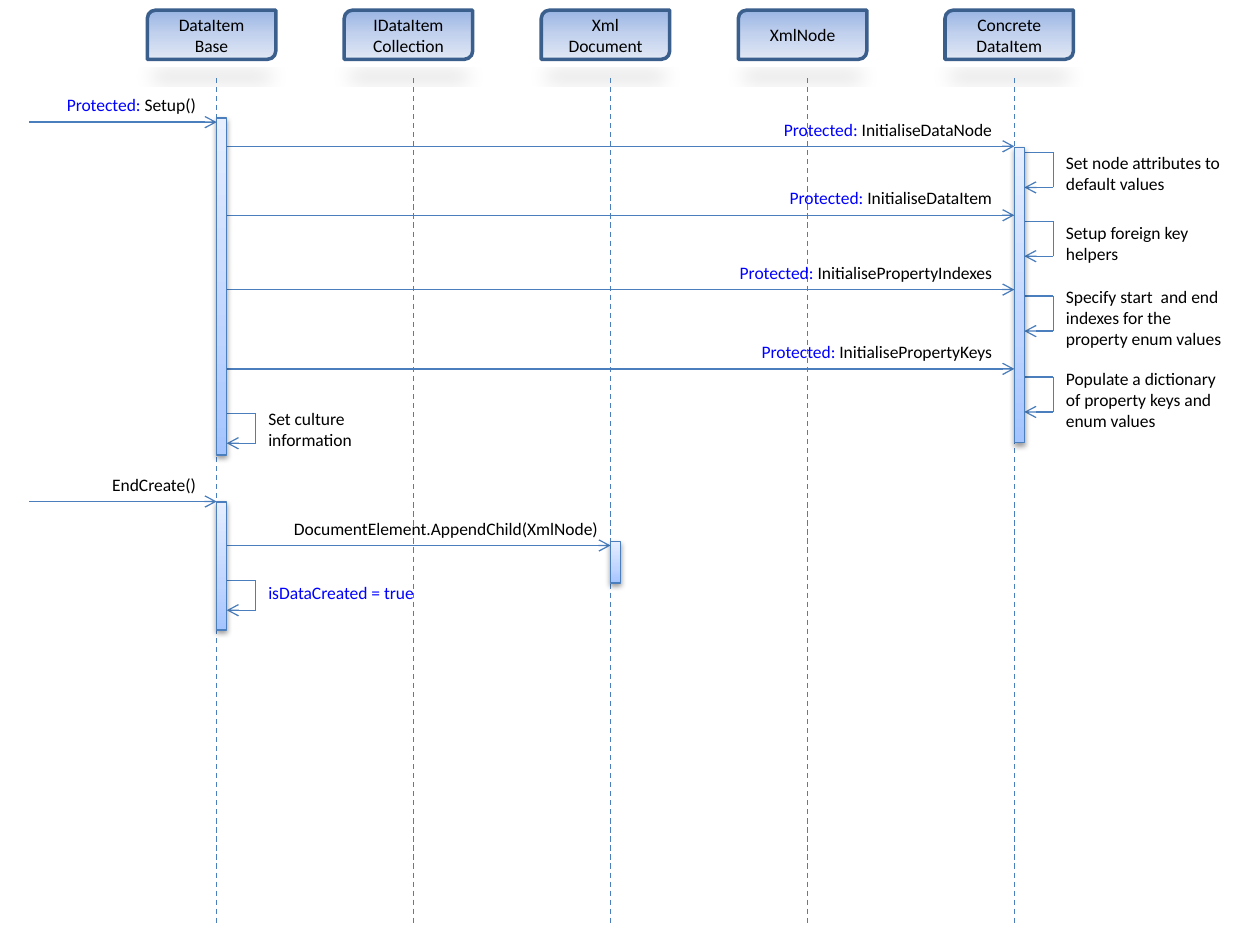
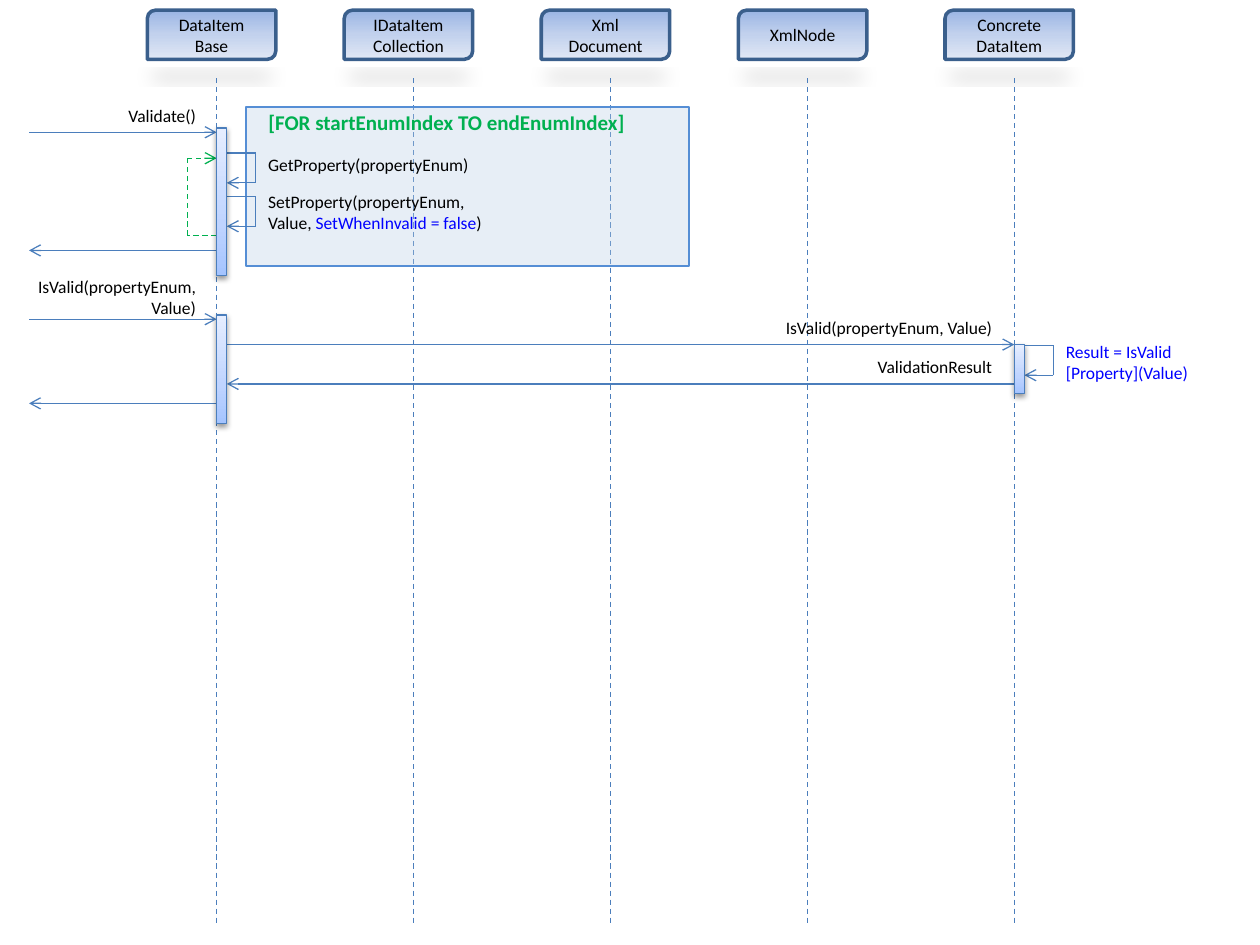
from dataclasses import dataclass

from pptx import Presentation
from pptx.dml.color import RGBColor
from pptx.enum.dml import MSO_LINE
from pptx.enum.shapes import MSO_CONNECTOR, MSO_SHAPE
from pptx.enum.text import MSO_ANCHOR, MSO_AUTO_SIZE, PP_ALIGN
from pptx.oxml import parse_xml
from pptx.oxml.ns import nsdecls, qn
from pptx.util import Pt

DASH = MSO_LINE.DASH
STRAIGHT = MSO_CONNECTOR.STRAIGHT
RECT, HEADER = MSO_SHAPE.RECTANGLE, MSO_SHAPE.ROUND_2_DIAG_RECTANGLE
MIDDLE = MSO_ANCHOR.MIDDLE
GROW = MSO_AUTO_SIZE.SHAPE_TO_FIT_TEXT
LEFT, CENTER, RIGHT = PP_ALIGN.LEFT, PP_ALIGN.CENTER, PP_ALIGN.RIGHT

FONT = "Calibri"
BLACK, BLUE, GREEN = "000000", "0000FF", "00B050"
LINE_BLUE, HEADER_EDGE = "4B7EBC", "3A5F8C"
FRAME_FILL, FRAME_EDGE = "B9CDE5", "558ED5"
HEADER_STOPS = ((0, "9AB5E4"), (50, "C2D1ED"), (100, "E1E8F5"))
BAR_STOPS = ((0, "A4C4FF"), (35, "BFD4FF"), (100, "E6EEFF"))
HEADER_SHADOW = ('blurRad="152400" dist="88900" dir="5400000" sx="90000" '
                 'sy="-19000" algn="b" rotWithShape="0"', 15)
BAR_SHADOW = 'blurRad="39370" dist="20320" dir="5400000" rotWithShape="0"', 38

BASE, COLLECTION, DOCUMENT, NODE, CONCRETE = 123.8, 236.3, 348.9, 461.5, 579.6
ACTORS = {BASE: "DataItem\nBase", COLLECTION: "IDataItem\nCollection",
          DOCUMENT: "Xml\nDocument", NODE: "XmlNode", CONCRETE: "Concrete\nDataItem"}
CALLER = 16.6
BAR_W = 5.8
BASE_R, CONCRETE_R = BASE + BAR_W, CONCRETE + BAR_W
REACH = 16.6
LOOP_X, LOOP_TOP, LOOP_BOTTOM = 107, 90.4, 134.6


@dataclass
class Run:
    text: str
    color: str = BLACK


Lines = tuple[tuple[Run, ...], ...]


@dataclass
class Bar:
    x: float
    top: float
    height: float


@dataclass
class Message:
    y: float
    start: float
    end: float
    lines: Lines = ()
    right: float = 0
    width: float = 0
    rise: float = 19.4
    rows: int = 1


@dataclass
class SelfCall:
    x: float
    y: float
    drop: float
    label_top: float
    width: float
    rows: int
    lines: Lines


def plain(text: str, color: str = BLACK) -> Lines:
    return ((Run(text, color),),)


def protected(name: str) -> Lines:
    return ((Run("Protected: ", BLUE), Run(name)),)


def rgb(color: str) -> RGBColor:
    return RGBColor.from_string(color)


def style_run(r, color: str = BLACK, size: float = 10, bold: bool = False) -> None:
    r.font.name = FONT
    r.font.size = Pt(size)
    r.font.bold = bold
    r.font.color.rgb = rgb(color)


def add_line(s, x1: float, y1: float, x2: float, y2: float, color: str = LINE_BLUE,
             dashed: bool = False, arrow: bool = False) -> None:
    c = s.shapes.add_connector(STRAIGHT, Pt(x1), Pt(y1), Pt(x2), Pt(y2))
    c.line.color.rgb = rgb(color)
    c.line.width = Pt(0.75)
    if dashed:
        c.line.dash_style = DASH
    if arrow:
        c.line._get_or_add_ln().append(
            parse_xml(f'<a:tailEnd {nsdecls("a")} type="arrow"/>'))
    c._element.spPr.append(parse_xml(f'<a:effectLst {nsdecls("a")}/>'))


def add_box(s, kind, x: float, y: float, w: float, h: float, edge: str, weight: float):
    sp = s.shapes.add_shape(kind, Pt(x), Pt(y), Pt(w), Pt(h))
    sp.shadow.inherit = False
    sp.line.color.rgb = rgb(edge)
    sp.line.width = Pt(weight)
    return sp


def set_gradient(sp, stops: tuple, angle: int) -> None:
    gs = "".join(f'<a:gs pos="{pos * 1000}"><a:srgbClr val="{color}"/></a:gs>'
                 for pos, color in stops)
    sp._element.spPr.insert(2, parse_xml(
        f'<a:gradFill {nsdecls("a")} rotWithShape="1"><a:gsLst>{gs}</a:gsLst>'
        f'<a:lin ang="{angle * 60000}" scaled="0"/></a:gradFill>'))


def set_shadow(sp, shadow: tuple[str, int]) -> None:
    attrs, alpha = shadow
    sp._element.spPr.find(qn("a:effectLst")).append(parse_xml(
        f'<a:outerShdw {nsdecls("a")} {attrs}><a:srgbClr val="{BLACK}">'
        f'<a:alpha val="{alpha * 1000}"/></a:srgbClr></a:outerShdw>'))


def add_label(s, x: float, y: float, w: float, rows: int, lines: Lines,
              align=LEFT, size: float = 10, bold: bool = False) -> None:
    height = 7.2 + rows * size * 1.22
    tf = s.shapes.add_textbox(Pt(x), Pt(y), Pt(w), Pt(height)).text_frame
    tf.word_wrap = True
    tf.auto_size = GROW
    for i, line in enumerate(lines):
        p = tf.add_paragraph() if i else tf.paragraphs[0]
        p.alignment = align
        for run in line:
            r = p.add_run()
            r.text = run.text
            style_run(r, run.color, size, bold)


def add_actor(s, x: float, name: str) -> None:
    sp = add_box(s, HEADER, x - 39.6, 5.8, 73.4, 28.1, HEADER_EDGE, 2)
    set_gradient(sp, HEADER_STOPS, 90)
    set_shadow(sp, HEADER_SHADOW)
    tf = sp.text_frame
    tf.text = name
    tf.vertical_anchor = MIDDLE
    for p in tf.paragraphs:
        p.alignment = CENTER
        style_run(p.runs[0])
    add_line(s, x, 44.6, x, 528.5, dashed=True)


def add_bar(s, bar: Bar) -> None:
    sp = add_box(s, RECT, bar.x, bar.top, BAR_W, bar.height, LINE_BLUE, 0.75)
    set_gradient(sp, BAR_STOPS, 270)
    set_shadow(sp, BAR_SHADOW)


def add_message(s, m: Message) -> None:
    add_line(s, m.start, m.y, m.end, m.y, arrow=True)
    if m.lines:
        add_label(s, m.right - m.width, m.y - m.rise, m.width, m.rows, m.lines, RIGHT)


def add_self_call(s, call: SelfCall) -> None:
    far, bottom = call.x + REACH, call.y + call.drop
    add_line(s, far, call.y, call.x, call.y)
    add_line(s, far, call.y, far, bottom)
    add_line(s, far, bottom, call.x, bottom, arrow=True)
    add_label(s, far, call.label_top, call.width, call.rows, call.lines)


def add_loop_frame(s) -> None:
    sp = add_box(s, RECT, 140.4, 61.2, 253.4, 90.7, FRAME_EDGE, 1)
    sp.fill.solid()
    sp.fill.fore_color.rgb = rgb(FRAME_FILL)
    sp._element.spPr.find(qn("a:solidFill"))[0].append(
        parse_xml(f'<a:alpha {nsdecls("a")} val="33000"/>'))
    add_label(s, BASE_R + REACH, 59, 219.6, 1,
              plain("[FOR startEnumIndex TO endEnumIndex]", GREEN), size=12, bold=True)
    add_line(s, LOOP_X, LOOP_TOP, BASE, LOOP_TOP, GREEN, dashed=True, arrow=True)
    add_line(s, LOOP_X, LOOP_TOP, LOOP_X, LOOP_BOTTOM, GREEN, dashed=True)
    add_line(s, BASE, LOOP_BOTTOM, LOOP_X, LOOP_BOTTOM, GREEN, dashed=True)


def add_sequence(prs, bars: list[Bar], messages: list[Message],
                 calls: list[SelfCall], loop: bool = False) -> None:
    s = prs.slides.add_slide(prs.slide_layouts[6])
    for x, name in ACTORS.items():
        add_actor(s, x, name)
    if loop:
        add_loop_frame(s)
    for m in messages:
        add_message(s, m)
    for call in calls:
        add_self_call(s, call)
    for bar in bars:
        add_bar(s, bar)


CREATE_BARS = [Bar(BASE, 67.5, 192.5), Bar(BASE, 286.8, 73.2),
               Bar(CONCRETE, 84.3, 168.7), Bar(DOCUMENT, 309.4, 23.8)]
CREATE_MESSAGES = [
    Message(69.8, CALLER, BASE, protected("Setup()"), 119, 96.5),
    Message(83.6, BASE_R, CONCRETE, protected("InitialiseDataNode"), 573.9, 202.5),
    Message(123, BASE_R, CONCRETE, protected("InitialiseDataItem"), 573.9, 168.5),
    Message(165.5, BASE_R, CONCRETE, protected("InitialisePropertyIndexes"), 573.9, 208),
    Message(210.8, BASE_R, CONCRETE, protected("InitialisePropertyKeys"), 573.9, 185.8),
    Message(286.6, CALLER, BASE, plain("EndCreate()"), 119, 80),
    Message(311.7, BASE_R, DOCUMENT, plain("DocumentElement.AppendChild(XmlNode)"),
            348.6, 202.5),
]
CREATE_CALLS = [
    SelfCall(BASE_R, 236.3, 17, 229.7, 73.4, 2, plain("Set culture information")),
    SelfCall(BASE_R, 331.7, 17, 329, 106.6, 1, plain("isDataCreated = true", BLUE)),
    SelfCall(CONCRETE_R, 87.1, 20, 83.5, 106.6, 2,
             plain("Set node attributes to default values")),
    SelfCall(CONCRETE_R, 126.4, 20, 123.1, 106.6, 2, plain("Setup foreign key helpers")),
    SelfCall(CONCRETE_R, 169.2, 20, 159.8, 106.6, 3,
             plain("Specify start  and end indexes for the property enum values")),
    SelfCall(CONCRETE_R, 215.4, 20, 206.6, 106.6, 3,
             plain("Populate a dictionary of property keys and enum values")),
]

VALIDATE_BARS = [Bar(BASE, 73.2, 84.3), Bar(BASE, 180, 62), Bar(CONCRETE, 196.8, 28.1)]
VALIDATE_MESSAGES = [
    Message(75.6, CALLER, BASE, plain("Validate()"), 119, 85),
    Message(143.1, BASE, CALLER),
    Message(182.4, CALLER, BASE, plain("IsValid(propertyEnum, Value)"), 119, 108, 28.2, 2),
    Message(230.5, BASE, CALLER),
    Message(196.9, BASE_R, CONCRETE, plain("IsValid(propertyEnum, Value)"), 573.9, 163.4),
    Message(219.4, CONCRETE, BASE_R, plain("ValidationResult"), 573.9, 163.4),
]
VALIDATE_CALLS = [
    SelfCall(BASE_R, 87.5, 17, 84.4, 152, 1, plain("GetProperty(propertyEnum)")),
    SelfCall(BASE_R, 112.3, 17, 105.8, 208, 2,
             ((Run("SetProperty(propertyEnum,"),),
              (Run("Value, "), Run("SetWhenInvalid = false", BLUE), Run(")")))),
    SelfCall(CONCRETE_R, 197.4, 17, 191.3, 114, 2,
             plain("Result = IsValid", BLUE) + plain("[Property](Value)", BLUE)),
]


def main() -> None:
    prs = Presentation()
    prs.slide_width, prs.slide_height = Pt(720), Pt(540)
    add_sequence(prs, CREATE_BARS, CREATE_MESSAGES, CREATE_CALLS)
    add_sequence(prs, VALIDATE_BARS, VALIDATE_MESSAGES, VALIDATE_CALLS, loop=True)
    prs.save("out.pptx")


if __name__ == "__main__":
    main()
